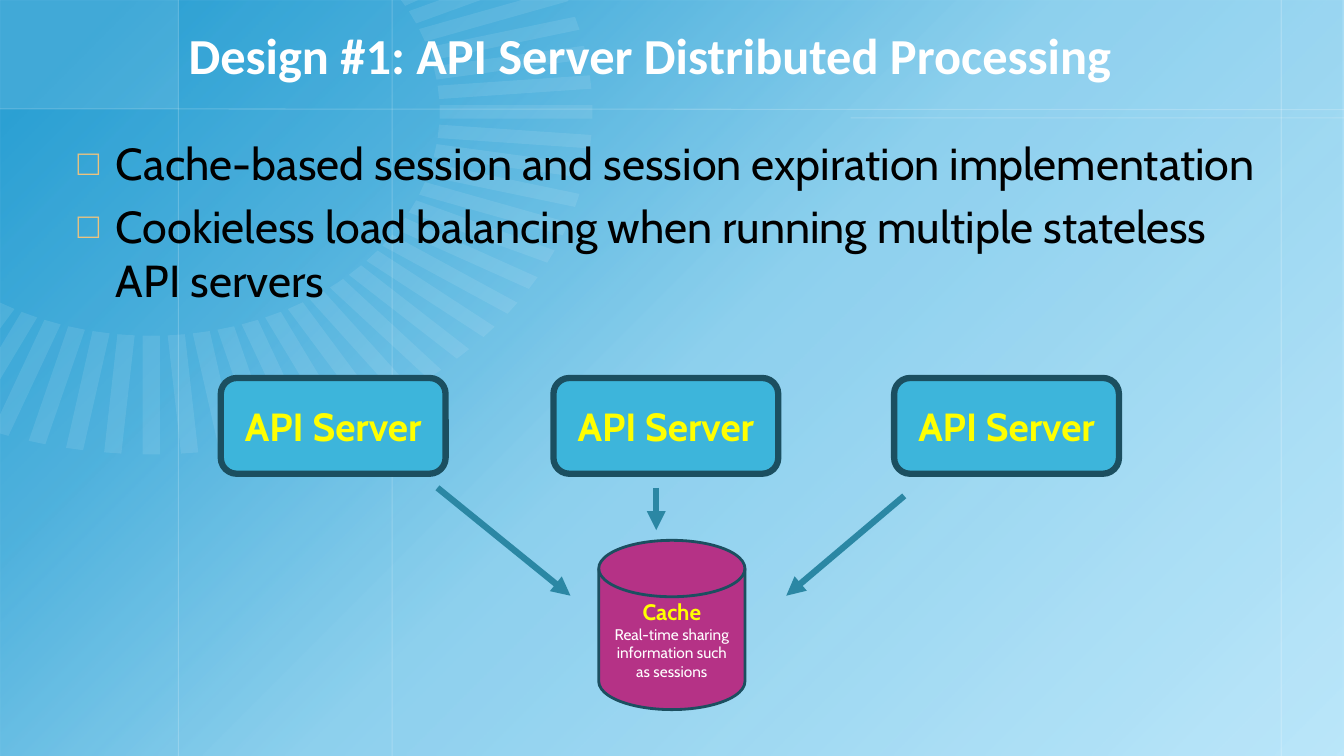
import math
import pptx
import pptx.util
import pptx.dml.color
import pptx.enum.shapes
import pptx.enum.text
import pptx.oxml
import pptx.oxml.ns

Pt = pptx.util.Pt
RGB = pptx.dml.color.RGBColor.from_string
FORM = pptx.enum.shapes.MSO_SHAPE
LINE = pptx.enum.shapes.MSO_CONNECTOR.STRAIGHT
TEXT = pptx.enum.text
qn = pptx.oxml.ns.qn
NS = pptx.oxml.ns.nsdecls("a")


class Theme:
    sky, deep, ray, white = "BCE7FA", "0F92CC", "F2FAFE", "FFFFFF"
    box, edge, disk, arrow = "3DB5DB", "1B4F60", "B53286", "2B87A4"
    black, yellow, bullet = "000000", "FFFF00", "ECC37F"
    head, main = "Calibri", "Cabin"
    title, body, label, store, note = 36, 32, 28, 16, 11
    thick, mid, thin = 4.5, 2, 0.75


deck = pptx.Presentation()
deck.slide_width = pptx.util.Inches(13.33)
deck.slide_height = pptx.util.Inches(7.5)
unit = (deck.slide_width / 100, deck.slide_height / 100)
slide = deck.slides.add_slide(deck.slide_layouts[1])
shapes = slide.shapes
slide.background.fill.solid()
slide.background.fill.fore_color.rgb = RGB(Theme.sky)


def grid(*cells):
    return [round(cell * unit[i % 2]) for i, cell in enumerate(cells)]


def write(para, words, size, font, color, bold=False):
    run = para.add_run()
    run.text = words
    run.font.size = Pt(size)
    run.font.name = font
    run.font.bold = bold
    run.font.color.rgb = RGB(color)


sheet = shapes.add_shape(FORM.RECTANGLE, *grid(0, 0, 100, 100))
sheet.fill.gradient()
sheet.fill.gradient_angle = 315
stops = sheet._element.spPr.find(".//" + qn("a:gsLst"))
for stop in list(stops):
    stops.remove(stop)
for place, share in ((6, 83), (26, 63), (50, 27), (100, 0)):
    stops.append(pptx.oxml.parse_xml(
        f'<a:gs {NS} pos="{place * 1000}"><a:srgbClr val="{Theme.deep}">'
        f'<a:alpha val="{share * 1000}"/></a:srgbClr></a:gs>'))
corner = shapes.add_shape(FORM.RECTANGLE, *grid(0, 0, 13.28, 14.4))
corner.fill.solid()
corner.fill.fore_color.rgb = RGB(Theme.white)
faint = [(corner, 10)]

rules = [(x, 0, x, 100) for x in (13.28, 95.33, 29.18)]
rules += [(0, 14.4, 100, 14.5), (63.3, 15.6, 100, 15.6)]
for ends in rules:
    rule = shapes.add_connector(LINE, *grid(*ends))
    rule.line.width = Pt(Theme.thin)
    rule.line.color.rgb = RGB(Theme.white)
    rule._element.spPr.append(pptx.oxml.parse_xml(f"<a:effectLst {NS}/>"))
    faint.append((rule, 20))

wheel = shapes.add_group_shape()
for step in range(-6, 25):
    turn = math.radians(5 * step)
    cos, sin = math.cos(turn), math.sin(turn)
    points = [(11.25 + 21.45 * (far * cos - side * sin),
               14.8 + 29.6 * (far * sin + side * cos))
              for far, side in ((1, -0.03), (1.53, -0.03), (1.53, 0.03), (1, 0.03))]
    for axis in (0, 1):
        kept = []
        for here, there in zip(points, points[1:] + points[:1]):
            if here[axis] >= 0:
                kept.append(here)
            if (here[axis] < 0) != (there[axis] < 0):
                part = here[axis] / (here[axis] - there[axis])
                kept.append(tuple(a + part * (b - a) for a, b in zip(here, there)))
        points = kept
    spots = [grid(*point) for point in points]
    pen = wheel.shapes.build_freeform(*spots[0])
    pen.add_line_segments(spots[1:])
    ray = pen.convert_to_shape()
    ray.fill.solid()
    ray.fill.fore_color.rgb = RGB(Theme.ray)
    faint.append((ray, 10))

for shape, share in faint:
    color = shape._element.spPr.find(".//" + qn("a:srgbClr"))
    color.append(pptx.oxml.parse_xml(f'<a:alpha {NS} val="{share * 1000}"/>'))
for shape in [sheet, corner, *wheel.shapes]:
    shape.shadow.inherit = False
    shape.line.fill.background()

title, body = slide.placeholders
for holder, cells, anchor in (
        (title, (13.28, 0, 81.68, 14.4), TEXT.MSO_ANCHOR.MIDDLE),
        (body, (5.03, 17.33, 90, 72.67), TEXT.MSO_ANCHOR.TOP)):
    holder.left, holder.top, holder.width, holder.height = grid(*cells)
    holder.text_frame.auto_size = TEXT.MSO_AUTO_SIZE.NONE
    holder.text_frame.word_wrap = True
    holder.text_frame.vertical_anchor = anchor
    shapes._spTree.append(holder._element)

para = title.text_frame.paragraphs[0]
para.alignment = TEXT.PP_ALIGN.LEFT
write(para, "Design #1: API Server Distributed Processing",
      Theme.title, Theme.head, Theme.white, True)

points = ("Cache-based session and session expiration implementation",
          "Cookieless load balancing when running multiple stateless API servers")
hang = grid(2.85)[0]
for i, words in enumerate(points):
    para = body.text_frame.add_paragraph() if i else body.text_frame.paragraphs[0]
    write(para, words, Theme.body, Theme.main, Theme.black)
    props = para._p.get_or_add_pPr()
    props.set("marL", str(hang))
    props.set("indent", str(-hang))
    for mark in (f'<a:buClr {NS}><a:srgbClr val="{Theme.bullet}"/></a:buClr>',
                 f'<a:buSzPct {NS} val="80000"/>',
                 f'<a:buChar {NS} char="\u25a1"/>'):
        props.append(pptx.oxml.parse_xml(mark))

label = [("API Server", Theme.label, Theme.main, Theme.yellow, True)]
store = [("Cache", Theme.store, Theme.main, Theme.yellow, True),
         ("Real-time sharing information such as sessions",
          Theme.note, Theme.main, Theme.white)]
nodes = [(FORM.ROUNDED_RECTANGLE, (x, 50, 16.73, 12.67), Theme.box, Theme.thick, label)
         for x in (16.43, 41.18, 66.53)]
nodes.append((FORM.FLOWCHART_MAGNETIC_DISK, (44.55, 71.47, 10.88, 22.4),
              Theme.disk, Theme.mid, store))
for form, cells, color, width, lines in nodes:
    node = shapes.add_shape(form, *grid(*cells))
    node.shadow.inherit = False
    node.fill.solid()
    node.fill.fore_color.rgb = RGB(color)
    node.line.color.rgb = RGB(Theme.edge)
    node.line.width = Pt(width)
    frame = node.text_frame
    frame.word_wrap = True
    frame.vertical_anchor = TEXT.MSO_ANCHOR.MIDDLE
    for i, line in enumerate(lines):
        para = frame.add_paragraph() if i else frame.paragraphs[0]
        para.alignment = TEXT.PP_ALIGN.CENTER
        write(para, *line)

for ends in ((32.55, 64.53, 42.45, 78.8), (67.28, 65.6, 58.5, 78.8),
             (48.83, 64.53, 48.83, 70.13)):
    arrow = shapes.add_connector(LINE, *grid(*ends))
    arrow.line.color.rgb = RGB(Theme.arrow)
    arrow.line.width = Pt(Theme.thick)
    props = arrow._element.spPr
    props.find(qn("a:ln")).append(
        pptx.oxml.parse_xml(f'<a:tailEnd {NS} type="triangle"/>'))
    props.append(pptx.oxml.parse_xml(f"<a:effectLst {NS}/>"))

deck.save("out.pptx")
